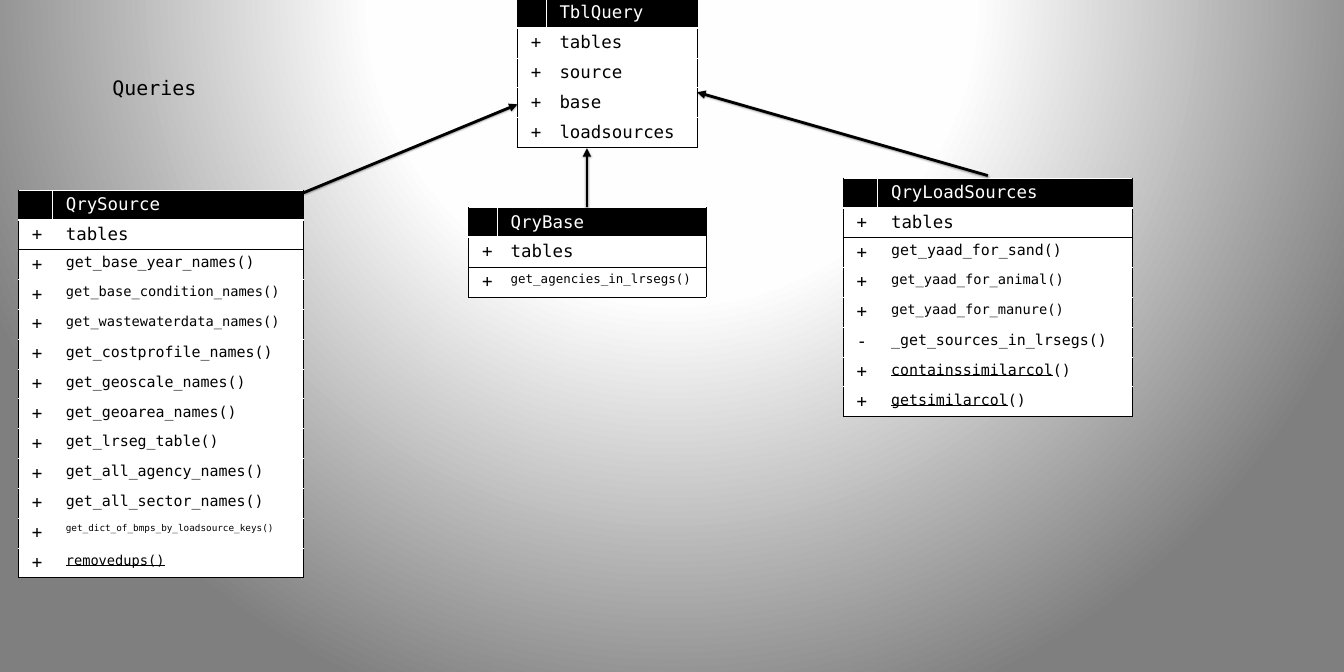
"""Draw the class diagram of the query tables on one slide."""
from dataclasses import dataclass

import pptx
import pptx.dml.color
import pptx.enum.shapes
import pptx.enum.text
import pptx.oxml
import pptx.oxml.ns
import pptx.slide
import pptx.table
import pptx.text.text
import pptx.util

WIDTH, HEIGHT = pptx.util.Inches(30), pptx.util.Inches(15)
ROW_SHARE = 4.44
FONT = "DejaVu Sans Mono"
BLACK, WHITE = "000000", "FFFFFF"
NAMESPACES = pptx.oxml.ns.nsdecls("a", "p")


@dataclass
class Member:
    name: str
    size: float = 28
    sign: str = "+"
    underlined: str = ""


@dataclass
class ClassBox:
    title: str
    left: float
    top: float
    sign_width: float
    name_width: float
    fields: list[Member]
    methods: list[Member]


@dataclass
class Arrow:
    start: tuple[float, float]
    end: tuple[float, float]


CLASS_BOXES = [
    ClassBox("TblQuery", 38.5, -0.27, 2.1, 11.27,
             [Member("tables"), Member("source"), Member("base"), Member("loadsources")], []),
    ClassBox("QrySource", 1.37, 28.27, 2.53, 18.7, [Member("tables")], [
        Member("get_base_year_names()", 24),
        Member("get_base_condition_names()", 22),
        Member("get_wastewaterdata_names()", 22),
        Member("get_costprofile_names()", 24),
        Member("get_geoscale_names()", 24),
        Member("get_geoarea_names()", 24),
        Member("get_lrseg_table()", 24),
        Member("get_all_agency_names()", 24),
        Member("get_all_sector_names()", 24),
        Member("get_dict_of_bmps_by_loadsource_keys()", 15),
        Member("", 22, underlined="removedups()"),
    ]),
    ClassBox("QryBase", 34.87, 30.87, 2.1, 15.53, [Member("tables")],
             [Member("get_agencies_in_lrsegs()", 20)]),
    ClassBox("QryLoadSources", 62.73, 26.47, 2.57, 18.97, [Member("tables")], [
        Member("get_yaad_for_sand()", 24),
        Member("get_yaad_for_animal()", 22),
        Member("get_yaad_for_manure()", 22),
        Member("_get_sources_in_lrsegs()", 24, "-"),
        Member("()", 24, underlined="containssimilarcol"),
        Member("()", 24, underlined="getsimilarcol"),
    ]),
]

ARROWS = [
    Arrow((43.67, 30.87), (43.67, 22.07)),
    Arrow((22.6, 28.67), (38.5, 15.53)),
    Arrow((73.5, 26.13), (51.87, 13.73)),
]


def across(share: float) -> int:
    """Turn a percentage of the slide's width into a length."""
    return round(WIDTH * share / 100)


def down(share: float) -> int:
    """Turn a percentage of the slide's height into a length."""
    return round(HEIGHT * share / 100)


def colour(value: str) -> pptx.dml.color.RGBColor:
    """Turn a hex string into a colour."""
    return pptx.dml.color.RGBColor.from_string(value)


def paint_background(page: pptx.slide.Slide) -> None:
    """Fill the page with a round gradient lit from above."""
    stops = "".join(
        f'<a:gs pos="{share * 1000}"><a:srgbClr val="{value}"/></a:gs>'
        for share, value in [(0, WHITE), (40, "FEFEFE"), (100, "7F7F7F")])
    page.element.cSld.insert(0, pptx.oxml.parse_xml(
        f'<p:bg {NAMESPACES}><p:bgPr><a:gradFill rotWithShape="1"><a:gsLst>{stops}</a:gsLst>'
        '<a:path path="circle"><a:fillToRect l="50000" t="-80000" r="50000" b="180000"/></a:path>'
        '</a:gradFill><a:effectLst/></p:bgPr></p:bg>'))


def write(para: pptx.text.text._Paragraph, member: Member, value: str) -> None:
    """Write a member's text, its underlined part first."""
    para.font.name = FONT
    para.font.size = pptx.util.Pt(member.size)
    para.font.color.rgb = colour(value)
    for text, is_underlined in [(member.underlined, True), (member.name, False)]:
        if text:
            span = para.add_run()
            span.text = text
            if is_underlined:
                span.font.underline = True


def dress_cell(cell: pptx.table._Cell, fill: str, borders: dict[str, tuple[str, float]]) -> None:
    """Give a cell its margins, borders and fill."""
    cell.margin_left = cell.margin_right = pptx.util.Inches(0.3)
    cell.margin_top = cell.margin_bottom = pptx.util.Inches(0.1)
    properties = cell._tc.get_or_add_tcPr()
    for side, (value, points) in borders.items():
        properties.append(pptx.oxml.parse_xml(
            f'<a:ln{side} {NAMESPACES} w="{pptx.util.Pt(points)}"><a:solidFill>'
            f'<a:srgbClr val="{value}"/></a:solidFill></a:ln{side}>'))
    cell.fill.solid()
    cell.fill.fore_color.rgb = colour(fill)


def add_class_box(page: pptx.slide.Slide, box: ClassBox) -> None:
    """Draw a class as a table of signs and names."""
    members = [Member(box.title, sign=""), *box.fields, *box.methods]
    count = len(members)
    table = page.shapes.add_table(
        count, 2, across(box.left), down(box.top),
        across(box.sign_width + box.name_width), down(ROW_SHARE * count)).table
    table.first_row = table.horz_banding = False
    for column, share in zip(table.columns, (box.sign_width, box.name_width)):
        column.width = across(share)
    rules = [(WHITE, 1)] * (count + 1)
    rules[1] = (WHITE, 3)
    rules[len(box.fields) + 1] = rules[count] = (BLACK, 1)
    edges = [(BLACK, 1), (WHITE, 1), (BLACK, 1)]
    for row, member in enumerate(members):
        fill, ink = (WHITE, BLACK) if row else (BLACK, WHITE)
        table.rows[row].height = down(ROW_SHARE)
        for column, content in enumerate((Member(member.sign), member)):
            cell = table.cell(row, column)
            dress_cell(cell, fill, {"L": edges[column], "R": edges[column + 1],
                                    "T": rules[row], "B": rules[row + 1]})
            write(cell.text_frame.paragraphs[0], content, ink)


def add_arrow(page: pptx.slide.Slide, arrow: Arrow) -> None:
    """Draw an inheritance arrow with a soft shadow."""
    (left, top), (right, bottom) = arrow.start, arrow.end
    line = page.shapes.add_connector(
        pptx.enum.shapes.MSO_CONNECTOR.STRAIGHT,
        across(left), down(top), across(right), down(bottom))
    line.line.width = pptx.util.Pt(4.5)
    line.line.color.rgb = colour(BLACK)
    properties = line.element.spPr
    properties.find(pptx.oxml.ns.qn("a:ln")).append(
        pptx.oxml.parse_xml(f'<a:tailEnd {NAMESPACES} type="triangle"/>'))
    properties.append(pptx.oxml.parse_xml(
        f'<a:effectLst {NAMESPACES}><a:outerShdw blurRad="40000" dist="20000" dir="5400000" '
        f'rotWithShape="0"><a:srgbClr val="{BLACK}"><a:alpha val="38000"/></a:srgbClr>'
        '</a:outerShdw></a:effectLst>'))


def add_heading(page: pptx.slide.Slide) -> None:
    """Write the heading of the diagram."""
    box = page.shapes.add_textbox(across(7.7), down(10.6), across(7.63), down(4.93))
    frame = box.text_frame
    frame.word_wrap = False
    frame.auto_size = pptx.enum.text.MSO_AUTO_SIZE.SHAPE_TO_FIT_TEXT
    frame.margin_left = frame.margin_right = pptx.util.Inches(0.2)
    frame.margin_top = frame.margin_bottom = pptx.util.Inches(0.1)
    write(frame.paragraphs[0], Member("Queries", 32), BLACK)


def main() -> None:
    """Build the deck and save it."""
    deck = pptx.Presentation()
    deck.slide_width, deck.slide_height = WIDTH, HEIGHT
    page = deck.slides.add_slide(deck.slide_layouts[6])
    paint_background(page)
    for box in CLASS_BOXES:
        add_class_box(page, box)
    for arrow in ARROWS:
        add_arrow(page, arrow)
    add_heading(page)
    deck.save("out.pptx")


if __name__ == "__main__":
    main()
